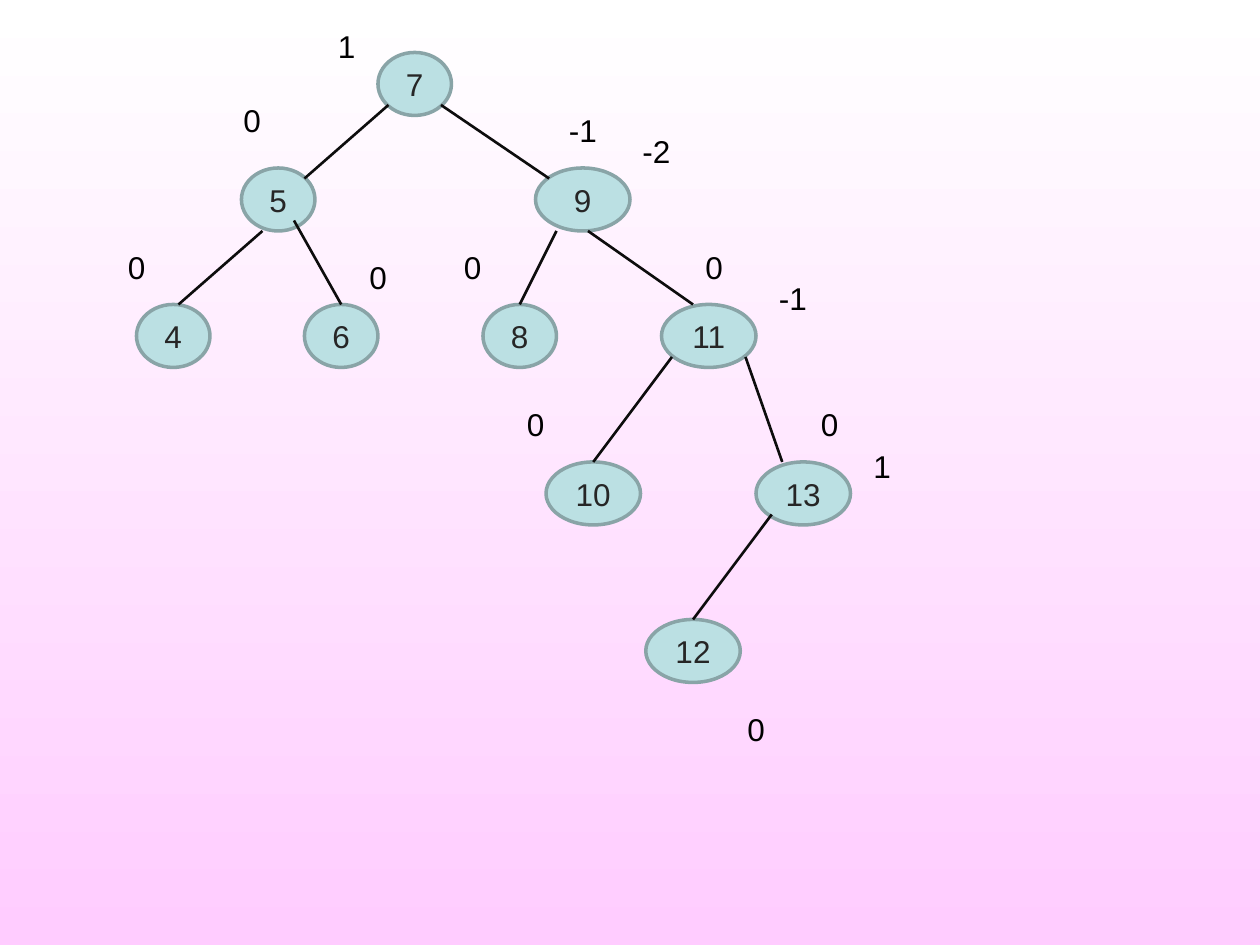
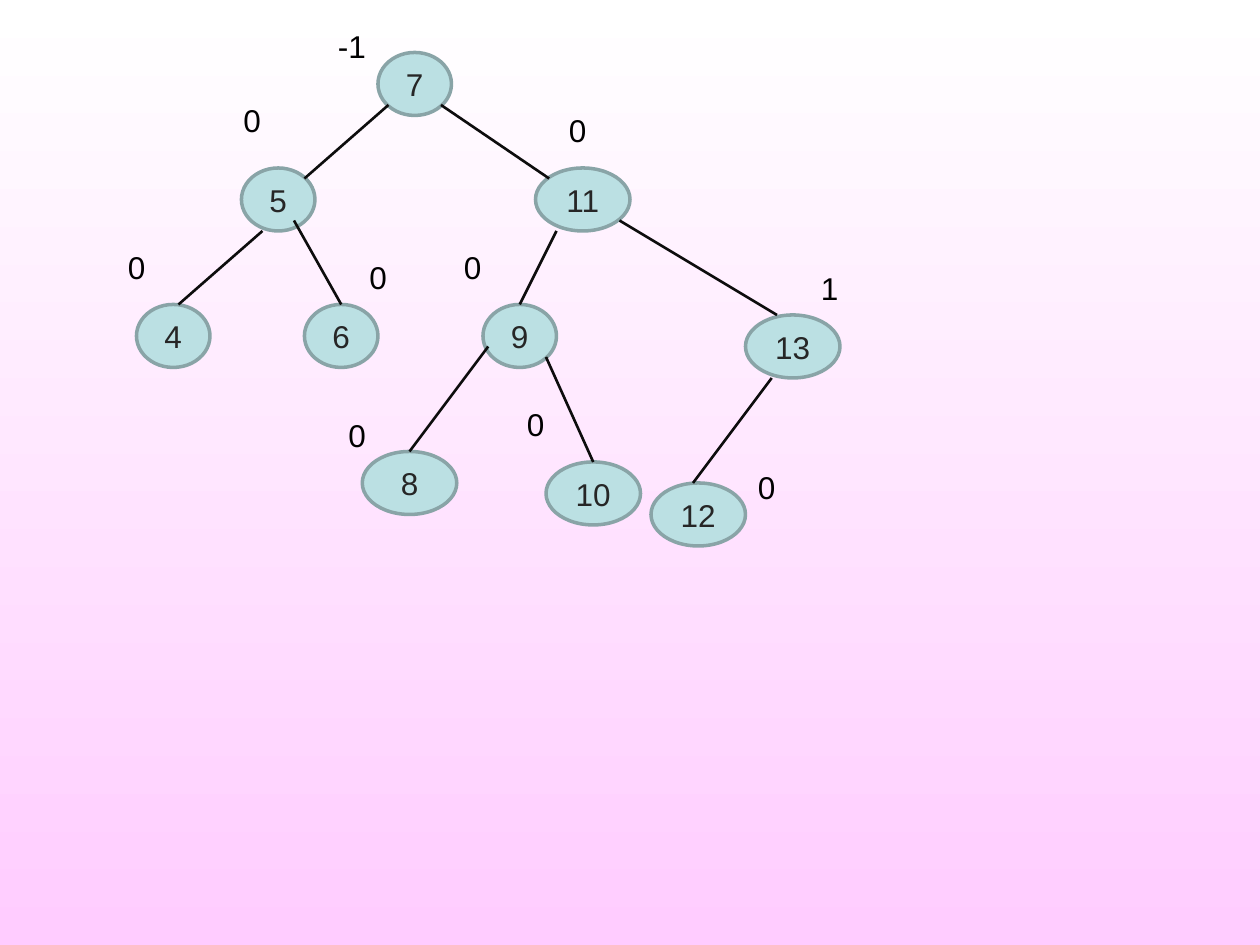
from lxml.etree import SubElement
from pptx import Presentation
from pptx.dml.color import RGBColor as Rgb
from pptx.enum.shapes import MSO_CONNECTOR as Connector, MSO_SHAPE as Preset
from pptx.enum.text import MSO_ANCHOR as Anchor, MSO_AUTO_SIZE as AutoSize, PP_ALIGN as Align
from pptx.oxml.ns import qn
from pptx.util import Inches, Pt

COLORS = {"top": "FFFFFF", "bottom": "FFCCFF", "node": "BBE0E3", "rim": "89A4A7",
          "key": "262626", "edge": "0D0D0D", "balance": "000000"}
FONT = "Arial"
GRID = 1 / 12
NARROW, WIDE, NODE_HEIGHT = 7, 9, 6
LABEL, LABEL_MID, LABEL_WIDE, LABEL_HEIGHT = 5, 6, 8, 4.8
PAGE_BOX = (0, 0, 10, 7.5)

SHARED_NODES = [("7", 36, 5, NARROW), ("5", 23, 16, NARROW), ("4", 13, 29, NARROW),
                ("6", 29, 29, NARROW), ("10", 52, 44, WIDE)]
SHARED_EDGES = [(37, 10, 29, 17), (25, 22, 17, 29), (42, 10, 52.3, 17),
                (53, 22, 49.5, 29), (28, 21, 32.5, 29)]
SHARED_LABELS = [("0", 22, 9, LABEL), ("0", 11, 23, LABEL), ("0", 34, 24, LABEL),
                 ("0", 49, 38, LABEL), ("0", 43, 23, LABEL)]

BEFORE_ROTATION = {
    "nodes": [("9", 51, 16, WIDE), ("8", 46, 29, NARROW), ("11", 63, 29, WIDE),
              ("13", 72, 44, WIDE), ("12", 61.5, 59, WIDE)],
    "edges": [(64, 34, 56.5, 44), (56, 22, 66, 29), (71, 34, 74.5, 44), (73.5, 49, 66, 59)],
    "labels": [("1", 31, 2, LABEL), ("-1", 53, 10, LABEL_WIDE), ("-2", 60, 12, LABEL_MID),
               ("0", 66, 23, LABEL), ("-1", 73, 26, LABEL_MID), ("0", 77, 38, LABEL),
               ("1", 82, 42, LABEL_MID), ("0", 70, 67, LABEL_MID)],
}
AFTER_ROTATION = {
    "nodes": [("11", 51, 16, WIDE), ("9", 46, 29, NARROW), ("13", 71, 30, WIDE),
              ("12", 62, 46, WIDE), ("8", 34.5, 43, WIDE)],
    "edges": [(52, 34, 56.5, 44), (59, 21, 74, 30), (73.5, 36, 66, 46), (46.5, 33, 39, 43)],
    "labels": [("-1", 31, 2, LABEL_WIDE), ("0", 53, 10, LABEL_WIDE), ("1", 77, 25, LABEL),
               ("0", 71, 44, LABEL), ("0", 32, 39, LABEL_WIDE)],
}


def color(name):
    """Return the named palette colour."""
    return Rgb.from_string(COLORS[name])


def place(box, column, row):
    """Turn grid steps inside a box into a slide position."""
    left, top = box[:2]
    return Inches(left + column * GRID), Inches(top + row * GRID)


def size(columns, rows):
    """Turn a size in grid steps into lengths."""
    return Inches(columns * GRID), Inches(rows * GRID)


def write(shape, text, tone, align):
    """Write one run of text into a shape."""
    para = shape.text_frame.paragraphs[0]
    para.alignment = align
    span = para.add_run()
    span.text = text
    span.font.name = FONT
    span.font.size = Pt(18)
    span.font.color.rgb = color(tone)


def add_node(page, box, key, column, row, width):
    """Add an oval tree node with its key."""
    node = page.shapes.add_shape(Preset.OVAL, *place(box, column, row), *size(width, NODE_HEIGHT))
    node.shadow.inherit = False
    node.fill.solid()
    node.fill.fore_color.rgb = color("node")
    node.line.color.rgb = color("rim")
    node.line.width = Pt(2)
    node.text_frame.vertical_anchor = Anchor.MIDDLE
    write(node, key, "key", Align.CENTER)


def add_edge(page, box, x1, y1, x2, y2):
    """Add a line from a parent to a child."""
    edge = page.shapes.add_connector(Connector.STRAIGHT, *place(box, x1, y1), *place(box, x2, y2))
    edge.line.color.rgb = color("edge")
    edge.line.width = Pt(1.5)
    SubElement(edge.element.spPr, qn("a:effectLst"))


def add_balance(page, box, value, column, row, width):
    """Add the balance factor beside a node."""
    label = page.shapes.add_textbox(*place(box, column, row), *size(width, LABEL_HEIGHT))
    label.text_frame.word_wrap = True
    label.text_frame.auto_size = AutoSize.SHAPE_TO_FIT_TEXT
    write(label, value, "balance", Align.LEFT)


def add_tree(page, box, tree):
    """Draw the shared part of the tree and the part given."""
    for node in SHARED_NODES + tree["nodes"]:
        add_node(page, box, *node)
    for edge in SHARED_EDGES + tree["edges"]:
        add_edge(page, box, *edge)
    for label in SHARED_LABELS + tree["labels"]:
        add_balance(page, box, *label)


def set_background(master):
    """Give every slide the vertical gradient."""
    fill = master.background.fill
    fill.gradient()
    fill.gradient_angle = 270
    for stop, name, position in zip(fill.gradient_stops, ("top", "bottom"), (0, 1)):
        stop.color.rgb = color(name)
        stop.position = position


def main():
    """Build the deck."""
    deck = Presentation()
    deck.slide_width, deck.slide_height = Inches(10), Inches(7.5)
    set_background(deck.slide_master)
    blank = deck.slide_layouts.get_by_name("Blank")
    for tree in (BEFORE_ROTATION, AFTER_ROTATION):
        add_tree(deck.slides.add_slide(blank), PAGE_BOX, tree)
    deck.save("out.pptx")


if __name__ == "__main__":
    main()
